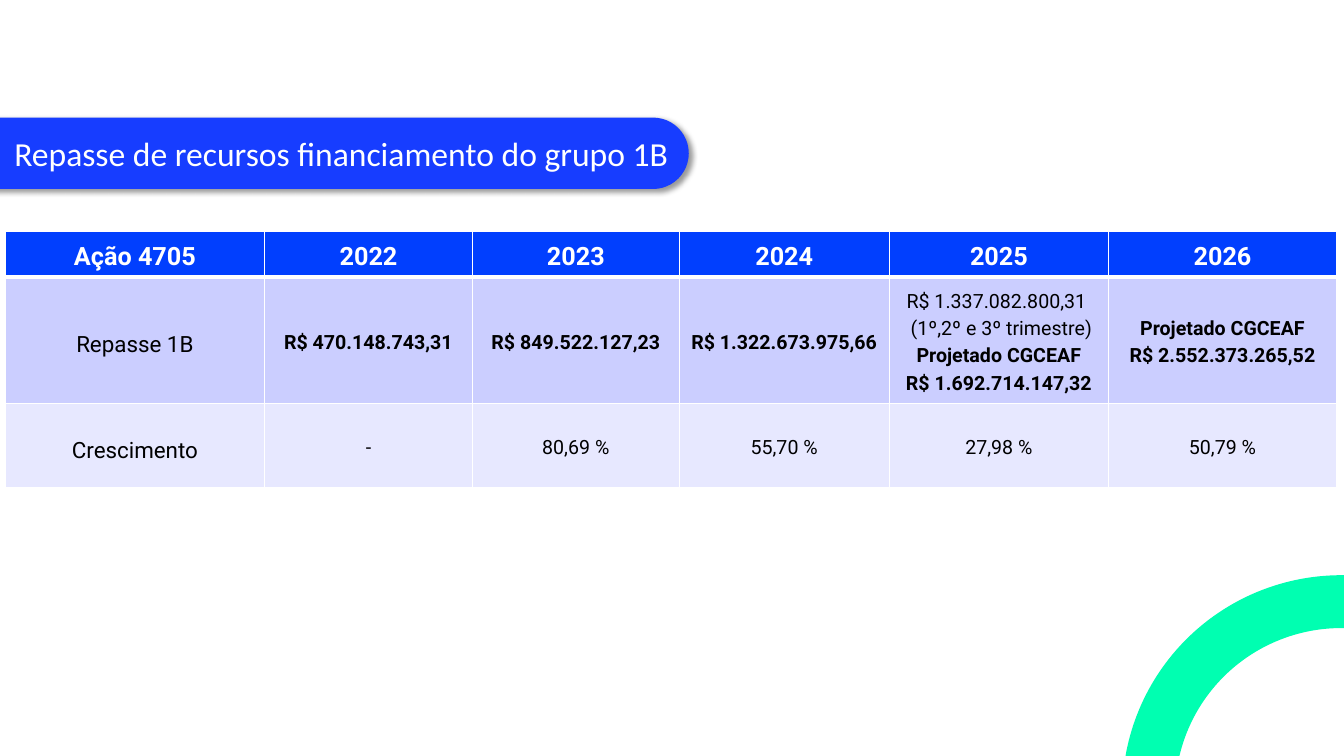
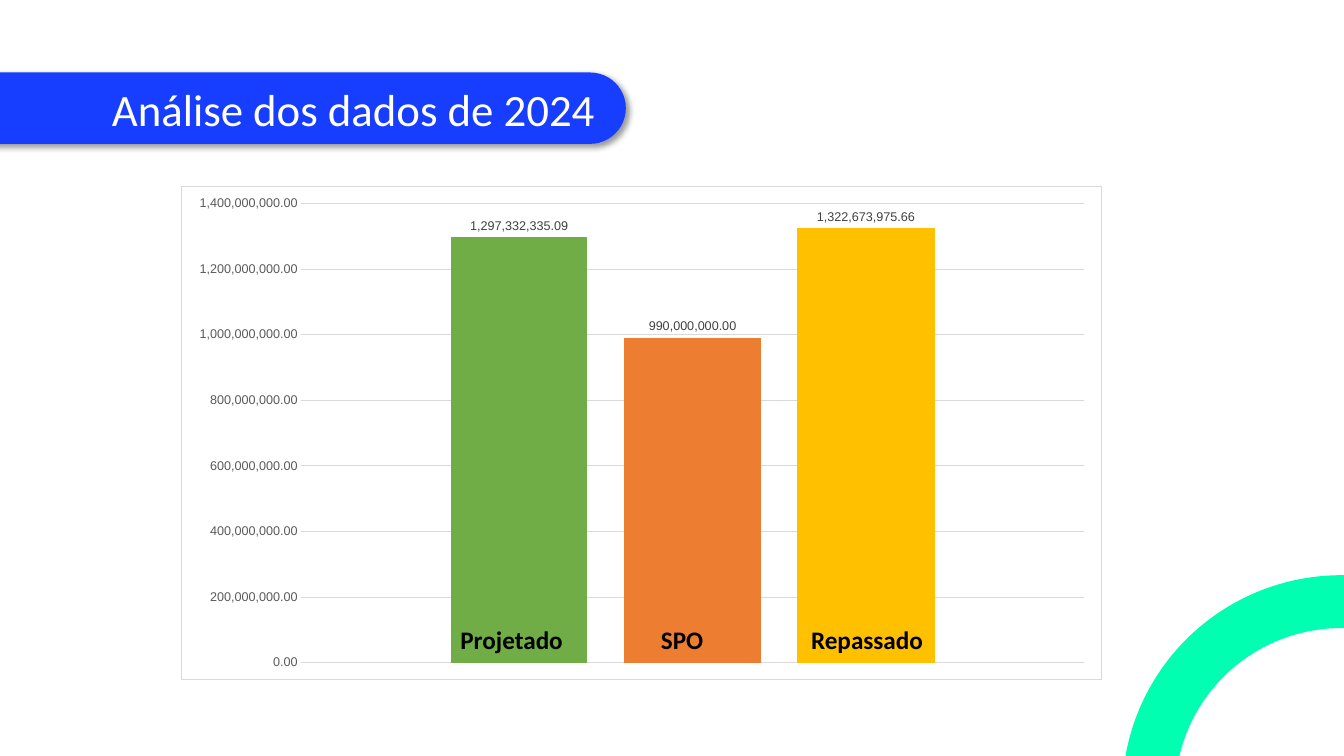
from lxml import etree
from pptx import Presentation
from pptx import util as u
from pptx.chart import data as chart_data
from pptx.dml.color import RGBColor
from pptx.enum import chart as chart_enum, shapes, text
from pptx.oxml import parse_xml
from pptx.oxml.ns import nsdecls

# Shared style: lengths in px, 96 to the inch
PX = 9525
WHITE = RGBColor(0xFF, 0xFF, 0xFF)
BLACK = RGBColor(0x00, 0x00, 0x00)
BAND_BLUE = RGBColor(0x17, 0x3D, 0xFF)
HEADER_BLUE = RGBColor(0x01, 0x3F, 0xFE)
LILAC = RGBColor(0xCB, 0xCE, 0xFF)
PALE_LILAC = RGBColor(0xE7, 0xE8, 0xFF)
MINT = RGBColor(0x00, 0xFF, 0xB1)
GREEN = RGBColor(0x70, 0xAD, 0x47)
ORANGE = RGBColor(0xED, 0x7D, 0x31)
YELLOW = RGBColor(0xFF, 0xC0, 0x00)
GRID_GREY = RGBColor(0xD9, 0xD9, 0xD9)
AXIS_GREY = RGBColor(0x59, 0x59, 0x59)
LABEL_GREY = RGBColor(0x40, 0x40, 0x40)
NUMBER_FORMAT = "#,##0.00"
SHADOW = (
    f'<a:outerShdw {nsdecls("a")} blurRad="50800" dist="38100" dir="2700000" algn="tl" rotWithShape="0">'
    '<a:srgbClr val="000000"><a:alpha val="40000"/></a:srgbClr></a:outerShdw>'
)


def apply(target, values):
    for name, value in values.items():
        setattr(target, name, value)


def set_font(font, color, name, size, bold=False):
    apply(font, {"name": name, "size": u.Pt(size), "bold": bold})
    font.color.rgb = color


deck = Presentation()
apply(deck, {"slide_width": 1280 * PX, "slide_height": 720 * PX})

# Both slides: corner ring and title band
titles = [
    ("Repasse de recursos financiamento do grupo 1B", 24, (-93, 112, 749, 68)),
    ("Análise dos dados de 2024 ", 32, (-121, 69, 717, 68)),
]
pages = []
for title, size, place in titles:
    page = deck.slides.add_slide(deck.slide_layouts[6])
    pages.append(page)

    ring = page.shapes.add_shape(
        shapes.MSO_SHAPE.OVAL, *(n * PX for n in (1094, 573, 367, 366)))
    ring.shadow.inherit = False
    ring.fill.background()
    ring.line.color.rgb = MINT
    ring.line.width = u.Pt(37.75)

    band = page.shapes.add_shape(
        shapes.MSO_SHAPE.ROUNDED_RECTANGLE, *(n * PX for n in place))
    band.adjustments[0] = 0.5
    band.fill.solid()
    band.fill.fore_color.rgb = BAND_BLUE
    band.line.fill.background()
    band.shadow.inherit = False
    band.element.spPr.find("{*}effectLst").append(parse_xml(SHADOW))
    apply(band.text_frame, {"word_wrap": True, "vertical_anchor": text.MSO_ANCHOR.MIDDLE})
    para = band.text_frame.paragraphs[0]
    para.alignment = text.PP_ALIGN.RIGHT
    span = para.add_run()
    span.text = title
    set_font(span.font, WHITE, "Calibri", size)

table_page, chart_page = pages

# Table: each cell is a list of lines; lines in REGULAR stay unbolded
column_widths = [247, 198, 197, 200, 209, 217]
row_heights = [43, 121, 80]
row_fills = [HEADER_BLUE, LILAC, PALE_LILAC]
REGULAR = {"R$ 1.337.082.800,31 ", " (1º,2º e 3º trimestre)"}
rows = [
    [["Ação 4705"], ["2022"], ["2023"], ["2024"], ["2025"], ["2026"]],
    [
        ["Repasse 1B"],
        ["R$ 470.148.743,31"],
        ["R$ 849.522.127,23"],
        ["R$ 1.322.673.975,66"],
        ["R$ 1.337.082.800,31 ", " (1º,2º e 3º trimestre)",
         "Projetado CGCEAF", "R$ 1.692.714.147,32"],
        ["Projetado CGCEAF", "R$ 2.552.373.265,52"],
    ],
    [["Crescimento"], ["-"], ["80,69 %"], ["55,70 %"], ["27,98 %"], ["50,79 %"]],
]
table = table_page.shapes.add_table(
    len(rows), len(column_widths), 5 * PX, 220 * PX,
    sum(column_widths) * PX, sum(row_heights) * PX).table
for column, width in zip(table.columns, column_widths):
    column.width = width * PX
for r, (row, height, fill) in enumerate(zip(rows, row_heights, row_fills)):
    table.rows[r].height = height * PX
    for c, lines in enumerate(row):
        cell = table.cell(r, c)
        # Thin white borders, thick between header and body
        properties = cell._tc.get_or_add_tcPr()
        for side in "LRTB":
            thick = (r, side) in ((0, "B"), (1, "T"))
            properties.append(parse_xml(
                f'<a:ln{side} {nsdecls("a")} w="{u.Pt(2.81 if thick else 0.94)}">'
                f'<a:solidFill><a:srgbClr val="{WHITE}"/></a:solidFill></a:ln{side}>'))
        cell.fill.solid()
        cell.fill.fore_color.rgb = fill
        cell.vertical_anchor = text.MSO_ANCHOR.MIDDLE if r else text.MSO_ANCHOR.TOP
        if r == 0:
            size, spacing = 18, 1.21
        elif c == 0:
            size, spacing = 16, 1.36
        else:
            size, spacing = 14, 1.18
        for i, line in enumerate(lines):
            para = cell.text_frame.add_paragraph() if i else cell.text_frame.paragraphs[0]
            apply(para, {"alignment": text.PP_ALIGN.CENTER, "line_spacing": spacing})
            span = para.add_run()
            span.text = line
            bold = r == 0 or (r == 1 and c > 0 and line not in REGULAR)
            set_font(span.font, BLACK if r else WHITE, "Roboto", size, bold)

# Column chart
chart_values = chart_data.CategoryChartData(number_format=NUMBER_FORMAT)
chart_values.categories = ["1"]
bars = [
    ("Series 1", 1297332335.09, GREEN),
    ("Series 2", 990000000, ORANGE),
    ("Series 3", 1322673975.66, YELLOW),
]
for name, value, color in bars:
    chart_values.add_series(name, [value])
chart = chart_page.shapes.add_chart(
    chart_enum.XL_CHART_TYPE.COLUMN_CLUSTERED,
    *(n * PX for n in (172, 177, 878, 471)), chart_values).chart
apply(chart, {"has_legend": False, "has_title": False})
set_font(chart.font, BLACK, "Arial", 10)
chart.element.find("{*}chart").addnext(parse_xml(
    f'<c:spPr {nsdecls("c", "a")}><a:solidFill><a:srgbClr val="{WHITE}"/></a:solidFill>'
    f'<a:ln w="{u.Pt(0.75)}"><a:solidFill><a:srgbClr val="{GRID_GREY}"/></a:solidFill></a:ln></c:spPr>'))

plot = chart.plots[0]
apply(plot, {"gap_width": 219, "overlap": -27, "vary_by_categories": False})
for series, (name, value, color) in zip(plot.series, bars):
    series.format.fill.solid()
    series.format.fill.fore_color.rgb = color
    labels = series.data_labels
    apply(labels, {
        "show_value": True,
        "number_format": NUMBER_FORMAT,
        "number_format_is_linked": False,
        "position": chart_enum.XL_LABEL_POSITION.OUTSIDE_END,
    })
    set_font(labels.font, LABEL_GREY, "Arial", 9)
last_line = plot.series[2].format.line
last_line.color.rgb = YELLOW
last_line.width = u.Pt(0.75)

chart.category_axis.visible = False
axis = chart.value_axis
apply(axis, {
    "major_tick_mark": chart_enum.XL_TICK_MARK.NONE,
    "minor_tick_mark": chart_enum.XL_TICK_MARK.NONE,
    "has_major_gridlines": True,
})
apply(axis.tick_labels, {"number_format": NUMBER_FORMAT, "number_format_is_linked": False})
set_font(axis.tick_labels.font, AXIS_GREY, "Arial", 9)
axis.format.line.fill.background()
axis.major_gridlines.format.line.color.rgb = GRID_GREY
axis.major_gridlines.format.line.width = u.Pt(0.75)

# Names on the bars
for name, left, width in [("Projetado", 429, 118), ("SPO", 620, 60), ("Repassado", 763, 127)]:
    box = chart_page.shapes.add_textbox(left * PX, 590 * PX, width * PX, 38 * PX)
    box.text_frame.word_wrap = False
    span = box.text_frame.paragraphs[0].add_run()
    span.text = name
    set_font(span.font, BLACK, "Calibri", 18, True)

deck.save("out.pptx")
